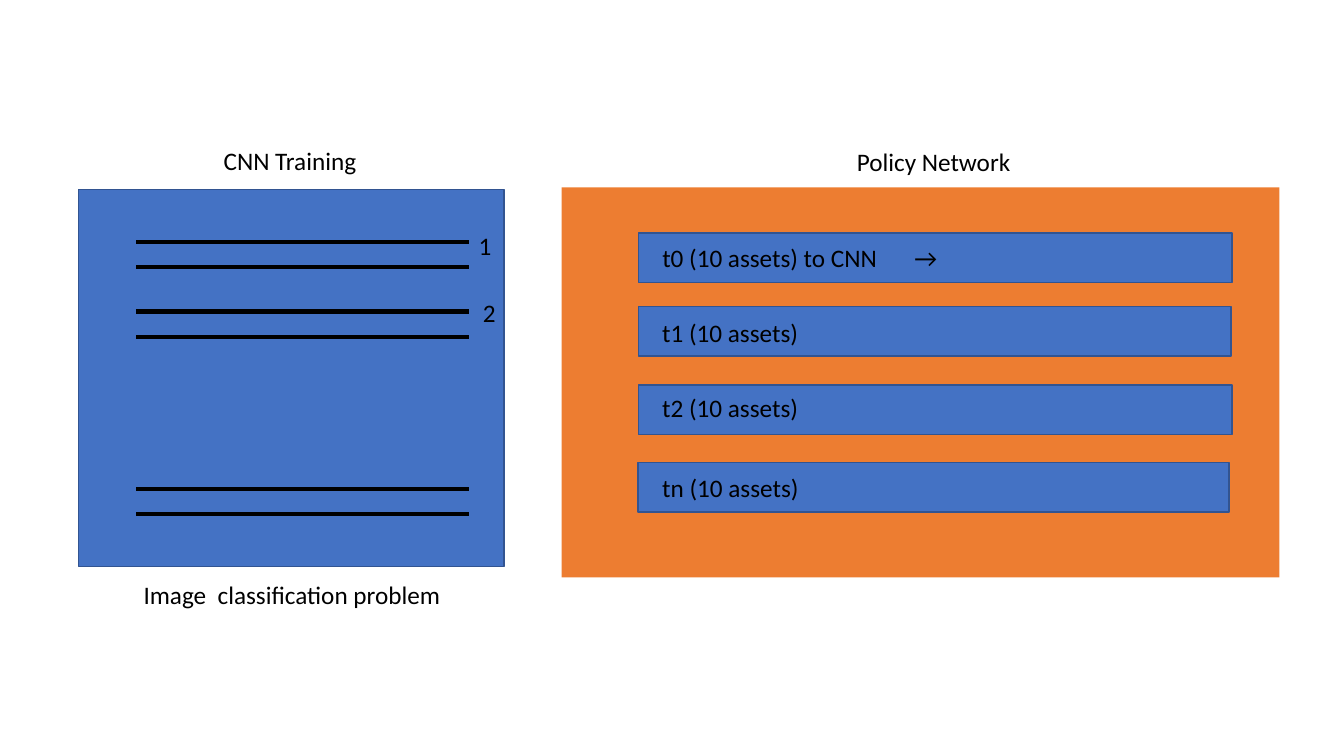
import pptx
import pptx.util
import pptx.dml.color
import pptx.enum.shapes
import pptx.enum.text
import lxml.etree

Inches = pptx.util.Inches
Pt = pptx.util.Pt
RGBColor = pptx.dml.color.RGBColor
BLUE = RGBColor(0x44, 0x72, 0xC4)
NAVY = RGBColor(0x32, 0x54, 0x91)
ORANGE = RGBColor(0xED, 0x7D, 0x31)
BLACK = RGBColor(0, 0, 0)


def add_box(slide, left, top, width, height, fill, edge=None):
    box = slide.shapes.add_shape(
        pptx.enum.shapes.MSO_SHAPE.RECTANGLE,
        Inches(left), Inches(top), Inches(width), Inches(height))
    box.shadow.inherit = False
    box.fill.solid()
    box.fill.fore_color.rgb = fill
    if edge is None:
        box.line.fill.background()
    else:
        box.line.color.rgb = edge
        box.line.width = Pt(1)


def add_label(slide, left, top, width, text, wrap=False, align=None):
    label = slide.shapes.add_textbox(
        Inches(left), Inches(top), Inches(width), Inches(0.4))
    frame = label.text_frame
    frame.word_wrap = wrap
    frame.auto_size = pptx.enum.text.MSO_AUTO_SIZE.SHAPE_TO_FIT_TEXT
    para = frame.paragraphs[0]
    para.text = text
    para.alignment = align
    para.font.name = "Calibri"
    para.font.size = Pt(18)
    para.font.color.rgb = BLACK


def add_rule(slide, left, top, width):
    rule = slide.shapes.add_connector(
        pptx.enum.shapes.MSO_CONNECTOR.STRAIGHT,
        Inches(left), Inches(top), Inches(left + width), Inches(top))
    rule.line.color.rgb = BLACK
    rule.line.width = Pt(3)
    props = rule.element.find(pptx.oxml.ns.qn("p:spPr"))
    lxml.etree.SubElement(props, pptx.oxml.ns.qn("a:effectLst"))


def add_training(slide, left, top, width, height):
    add_box(slide, left, top, width, height, BLUE, NAVY)
    # Pairs of lines
    for first in (0.52, 1.21, 2.97):
        for step in (0, 0.25):
            add_rule(slide, left + 0.57, top + first + step, 3.3)
    # Pair numbers
    add_label(slide, left + 3.87, top + 0.36, 0.33, "1")
    add_label(slide, left + 3.91, top + 1.02, 0.33, "2")
    # Heading and caption
    add_label(slide, left + 1.34, top - 0.49, 1.53, "CNN Training")
    add_label(slide, left + 0.31, top + height + 0.08, 3.61,
              "Image  classification problem", True,
              pptx.enum.text.PP_ALIGN.CENTER)


def add_policy(slide, left, top, width, height):
    add_box(slide, left, top, width, height, ORANGE)
    add_label(slide, left + 2.83, top - 0.46, 1.74, "Policy Network")
    # Time steps: bar top, bar width, text top, text width, text
    steps = (
        (0.45, 5.89, 0.5, 5.58, "t0 (10 assets) to CNN \t→"),
        (1.18, 5.88, 1.24, 1.56, "t1 (10 assets)"),
        (1.96, 5.89, 1.98, 1.56, "t2 (10 assets)"),
        (2.73, 5.86, 2.78, 1.57, "tn (10 assets)"),
    )
    for bar, span, line, room, text in steps:
        add_box(slide, left + 0.76, top + bar, span, 0.49, BLUE, NAVY)
        add_label(slide, left + 0.9, top + line, room, text, room > 2)


def main():
    deck = pptx.Presentation()
    deck.slide_width = Inches(13.33)
    deck.slide_height = Inches(7.5)
    slide = deck.slides.add_slide(deck.slide_layouts[6])
    add_training(slide, 0.78, 1.88, 4.22, 3.74)
    add_policy(slide, 5.57, 1.86, 7.12, 3.87)
    deck.save("out.pptx")


if __name__ == "__main__":
    main()
